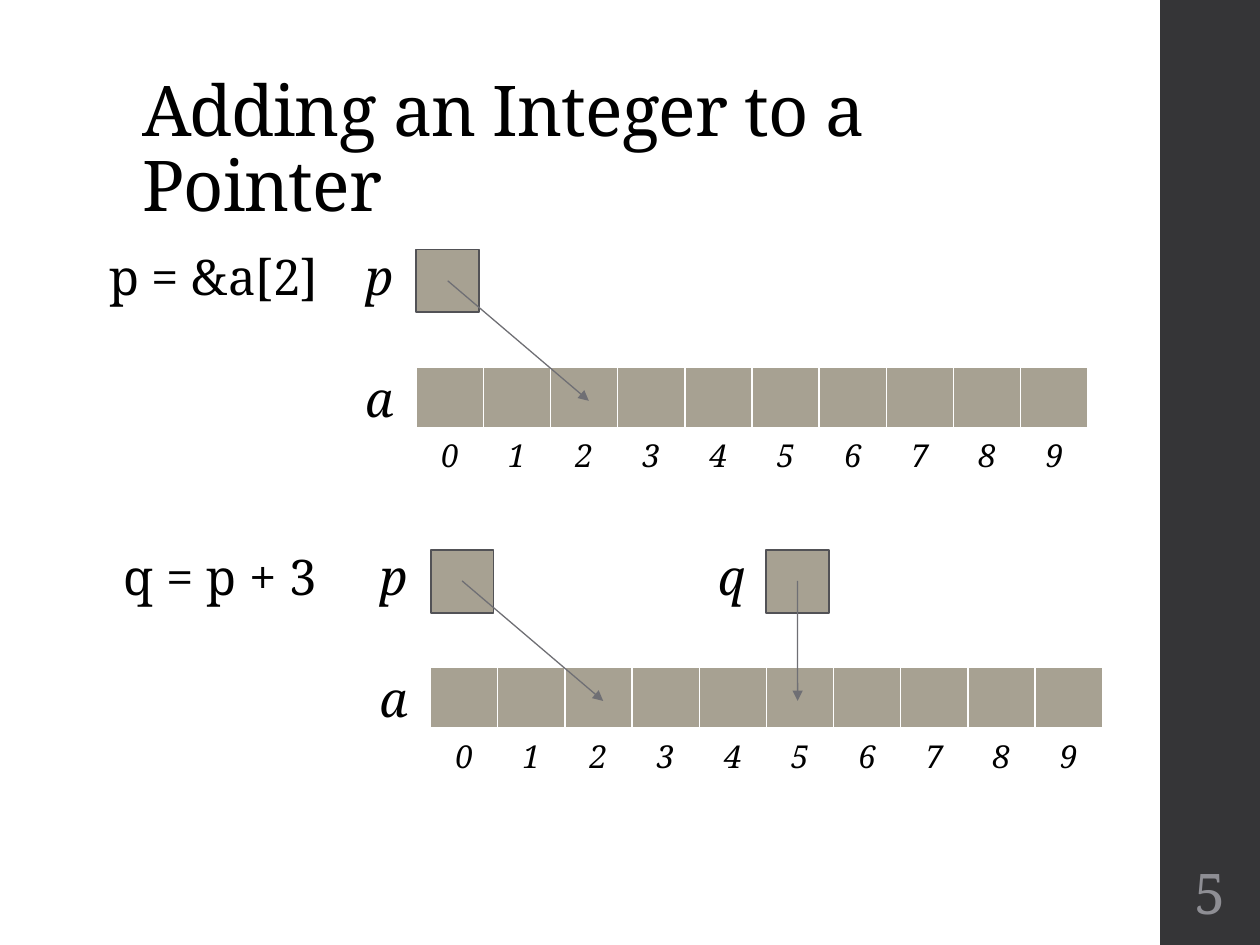
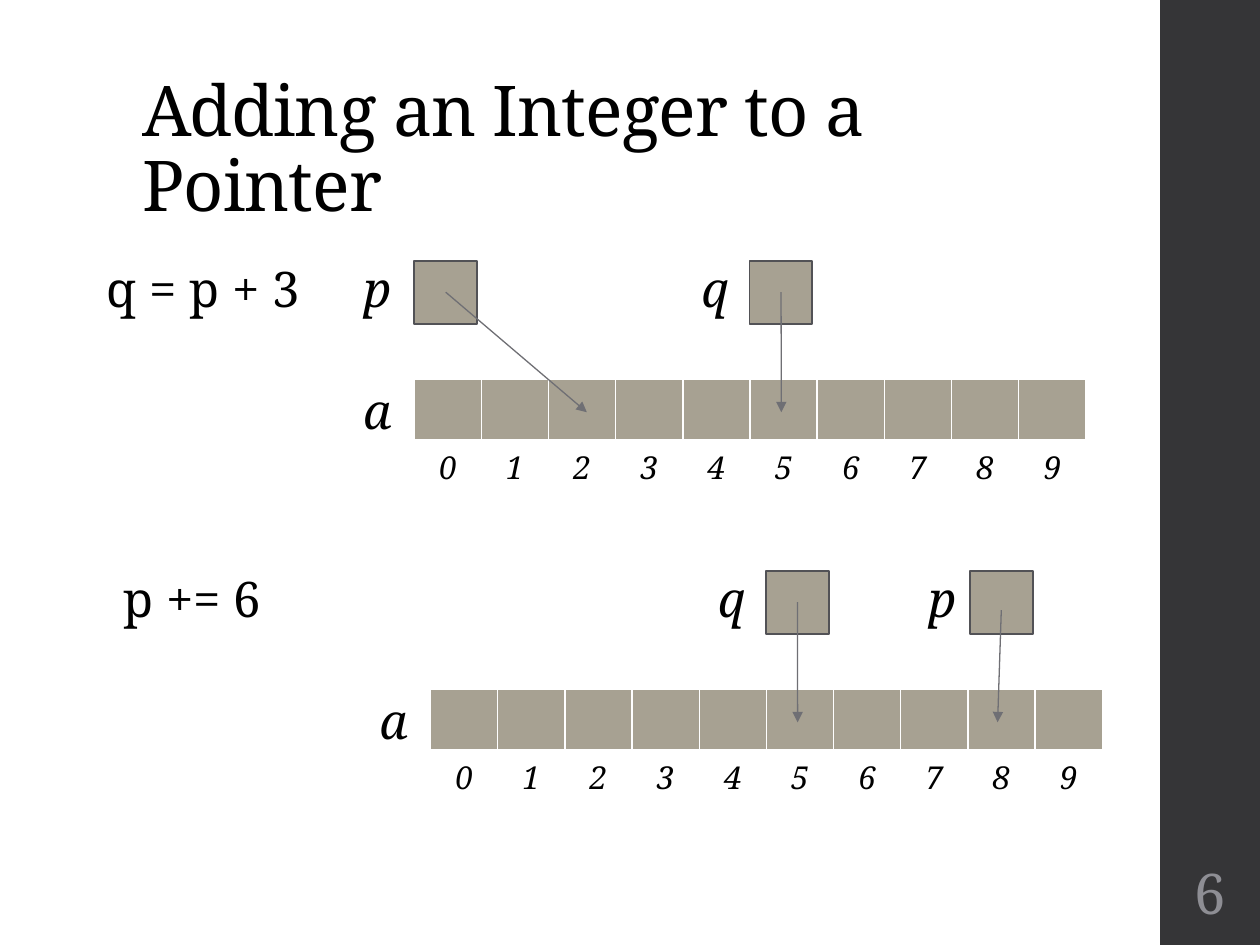
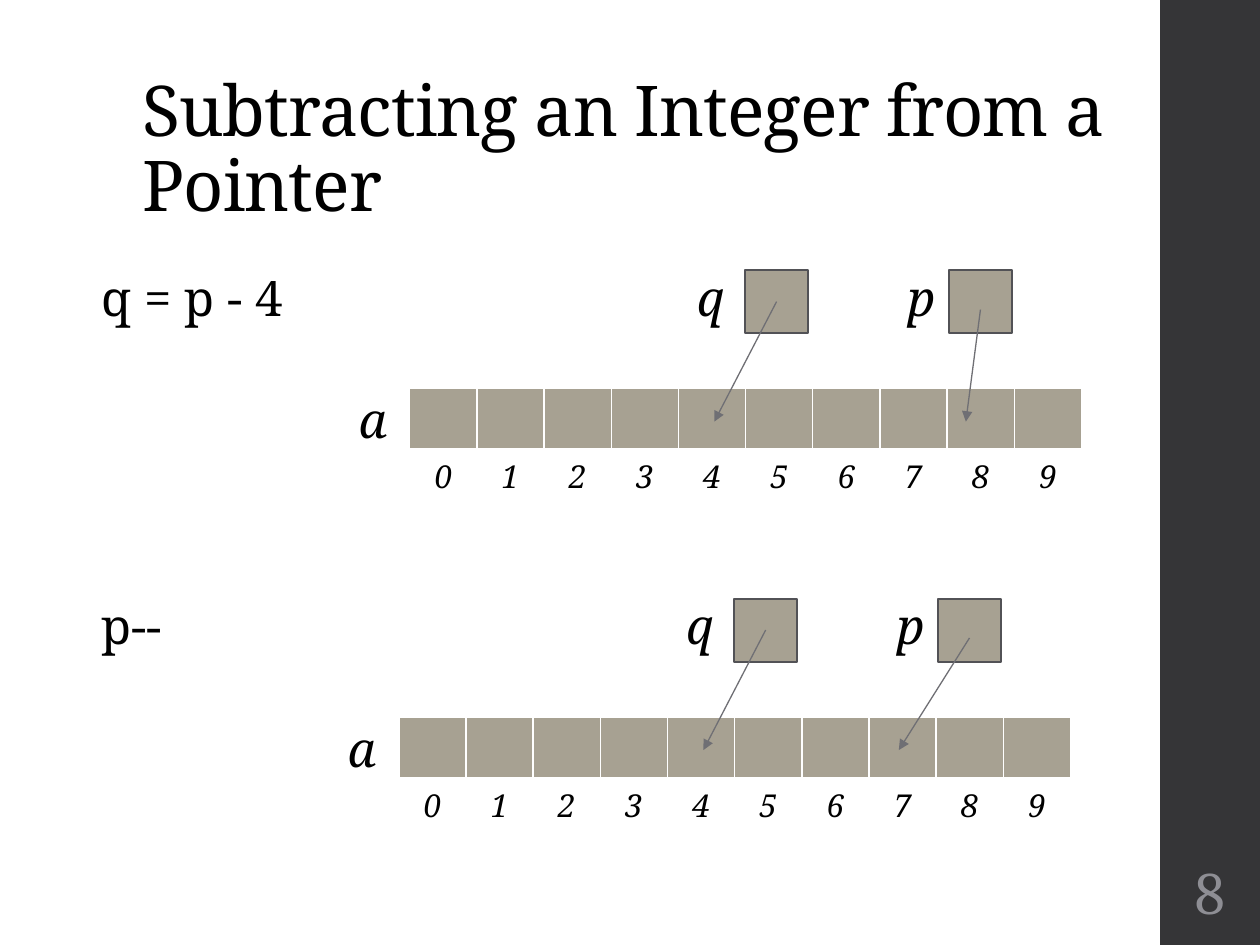
from lxml.etree import SubElement
from pptx import Presentation
from pptx.dml.color import RGBColor
from pptx.enum.shapes import MSO_CONNECTOR, MSO_SHAPE
from pptx.enum.text import MSO_ANCHOR, MSO_AUTO_SIZE, PP_ALIGN
from pptx.oxml import parse_xml
from pptx.oxml.ns import nsdecls, qn
from pptx.util import Cm, Pt

FONT = "Noto Serif"
BLACK = RGBColor(0x00, 0x00, 0x00)
WHITE = RGBColor(0xFF, 0xFF, 0xFF)
BAND = RGBColor(0x35, 0x35, 0x37)
NUMBER = RGBColor(0x8E, 0x8E, 0x94)
CELL = RGBColor(0xA7, 0xA1, 0x92)
OUTLINE = RGBColor(0x52, 0x52, 0x56)
ARROW = RGBColor(0x6F, 0x6F, 0x74)

COUNT = 10
ARRAY_W, CELL_H, INDEX_H, INDEX_DY = 13.54, 1.27, 1.04, 1.22
BOX, BOX_DY = 1.27, -2.38
TIP_DY = 0.67
LABEL_W, LABEL_H = 1.91, 1.45
ARRAY_LABEL = (-1.28, -0.1)
STATEMENT_DY = -2.56

SLOTS = {
    "p start": {"name": "p", "dx": 0, "label": -1.28, "tail": 0.63},
    "q": {"name": "q", "dx": 6.76, "label": -1.22, "tail": 0.63},
    "p moved": {"name": "p", "dx": 10.87, "label": -1.09, "tail": 0.79},
}

SLIDES = [
    {"title": "Adding an Integer to a Pointer", "number": "5", "panels": [
        {"at": (8.39, 7.41), "statement": ("p = &a[2]", 1.95, 4.85),
         "tips": {"p start": 3.48}},
        {"at": (8.68, 13.46), "statement": ("q = p + 3", 2.24, 4.57),
         "tips": {"p start": 3.48, "q": 7.4}},
    ]},
    {"title": "Adding an Integer to a Pointer", "number": "6", "panels": [
        {"at": (8.35, 7.64), "statement": ("q = p + 3", 1.9, 4.57),
         "tips": {"p start": 3.48, "q": 7.4}},
        {"at": (8.68, 13.89), "statement": ("p += 6", 2.24, 4.57),
         "tips": {"q": 7.4, "p moved": 11.43}},
    ]},
    {"title": "Subtracting an Integer from a Pointer", "number": "8", "panels": [
        {"at": (8.26, 7.83), "statement": ("q = p - 4", 1.8, 4.57),
         "tips": {"q": 6.14, "p moved": 11.21}},
        {"at": (8.04, 14.45), "statement": ("p--", 1.8, 4.57),
         "tips": {"q": 6.14, "p moved": 10.08}},
    ]},
]


def add_run(p, text, size, color=BLACK, italic=False):
    r = p.add_run()
    r.text = text
    r.font.name = FONT
    r.font.size = Pt(size)
    r.font.color.rgb = color
    r.font.italic = italic
    return r


def add_text(s, x, y, w, h, text, size=28, italic=False, color=BLACK):
    sp = s.shapes.add_textbox(Cm(x), Cm(y), Cm(w), Cm(h))
    tf = sp.text_frame
    tf.word_wrap = True
    add_run(tf.paragraphs[0], text, size, color, italic)
    return tf


def add_label(s, x, y, text, w=LABEL_W, italic=True):
    tf = add_text(s, x, y, w, LABEL_H, text, italic=italic)
    tf.auto_size = MSO_AUTO_SIZE.SHAPE_TO_FIT_TEXT


def add_rect(s, x, y, w, h, fill, line=None):
    sp = s.shapes.add_shape(MSO_SHAPE.RECTANGLE, Cm(x), Cm(y), Cm(w), Cm(h))
    sp.shadow.inherit = False
    sp.fill.solid()
    sp.fill.fore_color.rgb = fill
    if line is None:
        sp.line.fill.background()
    else:
        sp.line.color.rgb = line
        sp.line.width = Pt(1.1)


def add_arrow(s, x1, y1, x2, y2):
    c = s.shapes.add_connector(MSO_CONNECTOR.STRAIGHT, Cm(x1), Cm(y1), Cm(x2), Cm(y2))
    c.line.color.rgb = ARROW
    c.line.width = Pt(0.75)
    SubElement(c.line._get_or_add_ln(), qn("a:tailEnd"), type="triangle")
    SubElement(c._element.spPr, qn("a:effectLst"))


def add_borders(cell):
    tcPr = cell._tc.get_or_add_tcPr()
    for side, width in (("L", 1), ("R", 1), ("T", 1), ("B", 3)):
        tcPr.append(parse_xml(
            f'<a:ln{side} {nsdecls("a")} w="{Pt(width)}"><a:solidFill>'
            f'<a:srgbClr val="{WHITE}"/></a:solidFill></a:ln{side}>'))


def add_row(s, x, y, h, fill):
    table = s.shapes.add_table(1, COUNT, Cm(x), Cm(y), Cm(ARRAY_W), Cm(h)).table
    table.first_row = False
    table.horz_banding = False
    for cell in table.iter_cells():
        add_borders(cell)
        cell.fill.solid()
        cell.fill.fore_color.rgb = fill
    return table


def add_array(s, x, y):
    add_row(s, x, y, CELL_H, CELL)
    indices = add_row(s, x, y + INDEX_DY, INDEX_H, WHITE)
    for i, cell in enumerate(indices.iter_cells()):
        p = cell.text_frame.paragraphs[0]
        p.alignment = PP_ALIGN.CENTER
        add_run(p, str(i), 18, italic=True)
    add_label(s, x + ARRAY_LABEL[0], y + ARRAY_LABEL[1], "a")


def add_pointer(s, x, y, slot, tip):
    left, top = x + slot["dx"], y + BOX_DY
    add_rect(s, left, top, BOX, BOX, CELL, OUTLINE)
    add_label(s, left + slot["label"], y + STATEMENT_DY, slot["name"])
    add_arrow(s, left + BOX / 2, top + slot["tail"], x + tip, y + TIP_DY)


def add_frame(s, title, number):
    add_rect(s, 23.39, 0, 2.01, 19.05, BAND)
    tf = add_text(s, 2.62, 1.02, 20.19, 3.68, title, 40)
    tf.vertical_anchor = MSO_ANCHOR.BOTTOM
    p = tf.paragraphs[0]
    p.line_spacing = 0.9
    p.runs[0].font._element.set("spc", "-50")
    tf = add_text(s, 23.44, 17.15, 1.9, 1.65, number, 32, color=NUMBER)
    tf.vertical_anchor = MSO_ANCHOR.MIDDLE
    tf.margin_left = tf.margin_right = Cm(0.08)
    tf.paragraphs[0].alignment = PP_ALIGN.CENTER


prs = Presentation()
prs.slide_width, prs.slide_height = Cm(25.4), Cm(19.05)
for content in SLIDES:
    s = prs.slides.add_slide(prs.slide_layouts[6])
    add_frame(s, content["title"], content["number"])
    for panel in content["panels"]:
        x, y = panel["at"]
        text, left, width = panel["statement"]
        add_label(s, left, y + STATEMENT_DY, text, width, italic=False)
        add_array(s, x, y)
        for key, tip in panel["tips"].items():
            add_pointer(s, x, y, SLOTS[key], tip)
prs.save("out.pptx")
